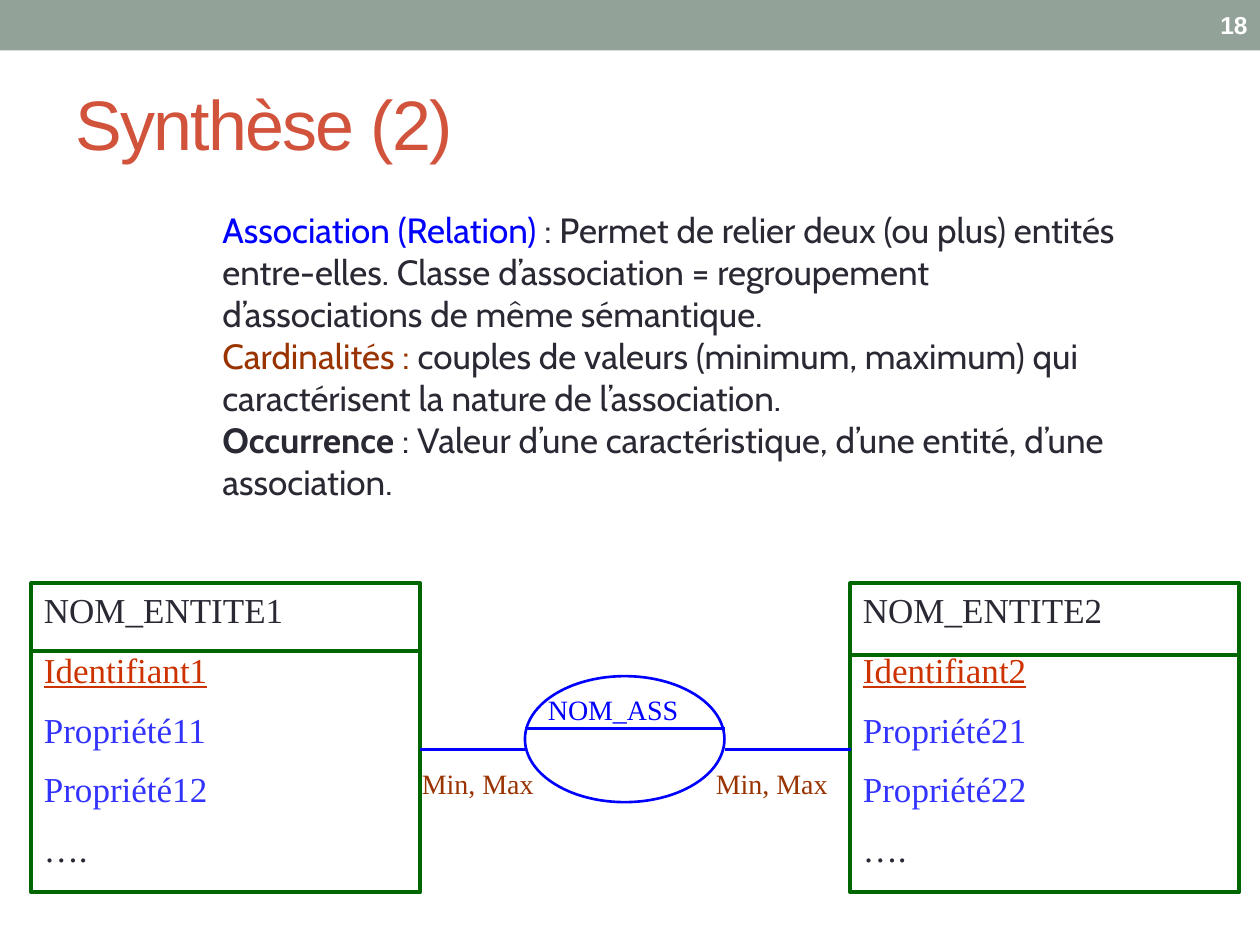
"""Build the entity and association summary slide on a 120 by 90 grid."""
from dataclasses import dataclass

import pptx
import pptx.dml.color
import pptx.enum.shapes
import pptx.enum.text
import pptx.oxml.ns
import pptx.util
from lxml import etree

COLS, ROWS = 120, 90
UNIT = pptx.util.Inches(10) / COLS
SERIF, SANS, BODY = "Times New Roman", "Arial", "Cabin"
HUES = {
    "band": "93A299", "title": "D2533C", "ink": "292934", "white": "FFFFFF",
    "blue": "0000FF", "brown": "993300", "green": "006600",
    "key": "CC3300", "field": "3333FF",
}
KINDS = pptx.enum.shapes.MSO_SHAPE
ALIGN = pptx.enum.text.PP_ALIGN
ANCHOR = pptx.enum.text.MSO_ANCHOR


@dataclass(frozen=True)
class Box:
    left: float
    top: float
    width: float
    height: float


@dataclass(frozen=True)
class Run:
    text: str
    hue: str = "ink"
    bold: bool = False
    under: bool = False


@dataclass(frozen=True)
class Style:
    font: str
    size: int
    gap: int = 0
    align: ALIGN = ALIGN.LEFT
    anchor: ANCHOR = ANCHOR.TOP
    track: int = 0


@dataclass(frozen=True)
class Label:
    box: Box
    style: Style
    paras: list[list[Run]]


@dataclass(frozen=True)
class Entity:
    left: float
    rule: float
    num: int


@dataclass(frozen=True)
class Rule:
    start: float
    end: float
    row: float
    hue: str = "blue"
    width: float = 1.5


def color(hue: str) -> pptx.dml.color.RGBColor:
    return pptx.dml.color.RGBColor.from_string(HUES[hue])


def place(box: Box) -> list[int]:
    return [round(n * UNIT) for n in (box.left, box.top, box.width, box.height)]


def write(shape, style: Style, paras: list[list[Run]]) -> None:
    frame = shape.text_frame
    frame.word_wrap = True
    frame.vertical_anchor = style.anchor
    frame.text = "\n".join("" for _ in paras)
    for para, runs in zip(frame.paragraphs, paras):
        para.alignment = style.align
        if style.gap:
            space = etree.SubElement(para._p.get_or_add_pPr(), pptx.oxml.ns.qn("a:spcBef"))
            etree.SubElement(space, pptx.oxml.ns.qn("a:spcPct"), val=str(style.gap * 1000))
        for part in runs:
            run = para.add_run()
            run.text = part.text
            font = run.font
            font.name, font.size = style.font, pptx.util.Pt(style.size)
            font.bold, font.underline = part.bold, part.under
            font.color.rgb = color(part.hue)
            if style.track:
                run._r.get_or_add_rPr().set("spc", str(style.track))


def add_label(slide, label: Label) -> None:
    write(slide.shapes.add_textbox(*place(label.box)), label.style, label.paras)


def add_shape(slide, kind: KINDS, box: Box, fill: str = "", line: str = "", width: float = 0):
    shape = slide.shapes.add_shape(kind, *place(box))
    shape.shadow.inherit = False
    if fill:
        shape.fill.solid()
        shape.fill.fore_color.rgb = color(fill)
    else:
        shape.fill.background()
    if line:
        shape.line.color.rgb = color(line)
        shape.line.width = pptx.util.Pt(width)
    else:
        shape.line.fill.background()
    return shape


def add_rule(slide, rule: Rule) -> None:
    y = round(rule.row * UNIT)
    link = slide.shapes.add_connector(
        pptx.enum.shapes.MSO_CONNECTOR.STRAIGHT,
        round(rule.start * UNIT), y, round(rule.end * UNIT), y)
    link.line.color.rgb = color(rule.hue)
    link.line.width = pptx.util.Pt(rule.width)
    etree.SubElement(link._element.spPr, pptx.oxml.ns.qn("a:effectLst"))


def add_entity(slide, item: Entity) -> None:
    box = Box(item.left, 55.5, 37, 29.5)
    shape = add_shape(slide, KINDS.RECTANGLE, box, line="green", width=2.25)
    write(shape, Style(SERIF, 20, gap=50), [
        [Run(f"NOM_ENTITE{item.num}")],
        [Run(f"Identifiant{item.num}", "key", under=True)],
        *[[Run(f"Propriété{item.num}{n}", "field")] for n in (1, 2)],
        [Run("….")],
    ])
    add_rule(slide, Rule(item.left, item.left + box.width, item.rule, "green", 2.25))


TAG = Style(SERIF, 16, gap=50)
LABELS = [
    Label(Box(6, 5.2, 108, 13), Style(SANS, 40, anchor=ANCHOR.MIDDLE, track=-100),
          [[Run("Synthèse (2)", "title")]]),
    Label(Box(20, 19.3, 89, 29.2), Style(BODY, 20), [
        [Run("Association (Relation) ", "blue"),
         Run(": Permet de relier deux (ou plus) entités entre-elles. "
             "Classe d’association = regroupement d’associations de même sémantique.")],
        [Run("Cardinalités :", "brown"),
         Run(" couples de valeurs (minimum, maximum) qui caractérisent "
             "la nature de l’association.")],
        [Run("Occurrence", bold=True),
         Run(" : Valeur d’une caractéristique, d’une entité, d’une association.")],
    ]),
    Label(Box(51, 65.4, 16, 4.4), TAG, [[Run("NOM_ASS", "blue")]]),
    *[Label(Box(left, 72.4, 15, 4.4), TAG, [[Run("Min, Max", "brown")]])
      for left in (39, 67)],
    Label(Box(111.4, 0.25, 8.6, 4.3),
          Style(SANS, 14, align=ALIGN.RIGHT, anchor=ANCHOR.MIDDLE),
          [[Run("18", "white", bold=True)]]),
]
ENTITIES = [Entity(3, 62, 1), Entity(81, 62.4, 2)]
RULES = [Rule(40, 50, 71.4), Rule(69, 81, 71.4), Rule(50, 69, 69.4)]


def main() -> None:
    deck = pptx.Presentation()
    deck.slide_width, deck.slide_height = round(COLS * UNIT), round(ROWS * UNIT)
    slide = deck.slides.add_slide(deck.slide_layouts[6])
    add_shape(slide, KINDS.RECTANGLE, Box(0, 0, COLS, 4.8), fill="band")
    for item in ENTITIES:
        add_entity(slide, item)
    add_shape(slide, KINDS.OVAL, Box(50, 64.4, 19, 12), line="blue", width=1.5)
    for rule in RULES:
        add_rule(slide, rule)
    for label in LABELS:
        add_label(slide, label)
    deck.save("out.pptx")


if __name__ == "__main__":
    main()
